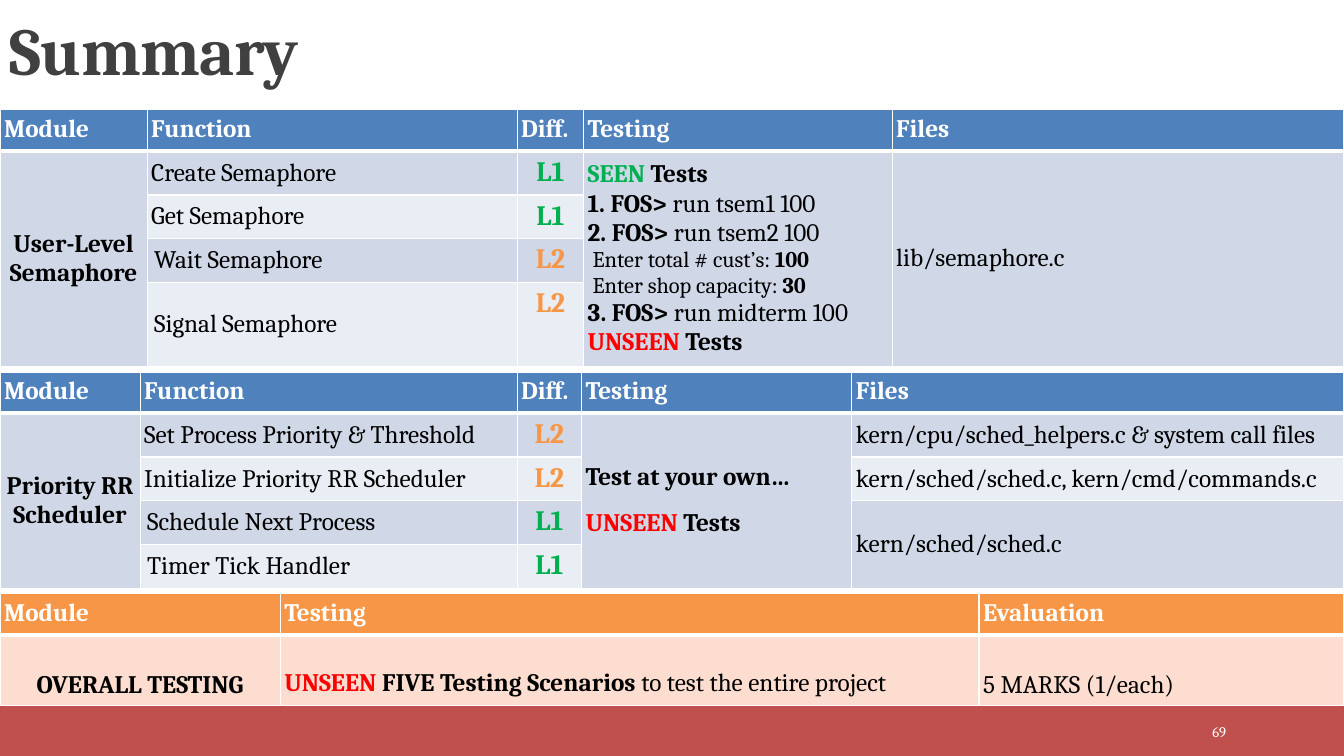
from lxml import etree
from pptx import Presentation
from pptx.dml.color import RGBColor
from pptx.enum.shapes import MSO_SHAPE
from pptx.enum.text import MSO_ANCHOR, PP_ALIGN
from pptx.oxml.ns import qn
from pptx.util import Inches, Pt

RECT = MSO_SHAPE.RECTANGLE
TOP, MID, LOW = MSO_ANCHOR.TOP, MSO_ANCHOR.MIDDLE, MSO_ANCHOR.BOTTOM
CENTER, RIGHT = PP_ALIGN.CENTER, PP_ALIGN.RIGHT

WHITE = RGBColor(0xFF, 0xFF, 0xFF)
BLACK = RGBColor(0, 0, 0)
GRAY = RGBColor(0x40, 0x40, 0x40)
BLUE = RGBColor(0x4F, 0x81, 0xBD)
BAND = RGBColor(0xD0, 0xD8, 0xE8)
PALE = RGBColor(0xE9, 0xED, 0xF4)
ORANGE = RGBColor(0xF7, 0x96, 0x46)
PEACH = RGBColor(0xFC, 0xDD, 0xCF)
BRICK = RGBColor(0xC0, 0x50, 0x4D)
GREEN = RGBColor(0x00, 0xB0, 0x50)
RED = RGBColor(0xFF, 0, 0)

BOLD = {"bold": True}
SMALL = {"size": Pt(16)}
FLAT = (0.07, 0)
PAD = (0.04, 0.05)


def cell(*lines, anchor=MID, pad=PAD, para=None, **font):
    """Describe a cell: each line is a string or a list of (text, format) runs."""
    return {"lines": lines, "anchor": anchor, "pad": pad, "para": para or {}, "font": font}


def level(name):
    """Describe a difficulty mark."""
    hue = GREEN if name == "L1" else ORANGE
    return cell(name, anchor=TOP, para={"alignment": CENTER}, bold=True, size=Pt(20), color=hue)


def tests(kind, hue):
    return [(kind + " ", {"bold": True, "color": hue}), ("Tests", BOLD)]


class Deck:
    def __init__(self, font="Cambria"):
        self.font = font
        self.file = Presentation()
        self.file.slide_width, self.file.slide_height = Inches(13.33), Inches(7.5)
        self.slide = self.file.slides.add_slide(self.file.slide_layouts[6])

    def bar(self, top, high, hue):
        shape = self.slide.shapes.add_shape(RECT, 0, Inches(top), Inches(13.33), Inches(high))
        shape.shadow.inherit = False
        shape.fill.solid()
        shape.fill.fore_color.rgb = hue
        shape.line.fill.background()

    def put(self, frame, lines, para, font):
        """Set the lines of a text frame."""
        frame.word_wrap = True
        for i, line in enumerate(lines):
            item = frame.paragraphs[0] if i == 0 else frame.add_paragraph()
            for key, value in para.items():
                setattr(item, key, value)
            for text, extra in [(line, {})] if isinstance(line, str) else line:
                run = item.add_run()
                run.text = text
                look = {"name": self.font, "size": Pt(18), "bold": False, "color": BLACK, **font, **extra}
                run.font.color.rgb = look.pop("color")
                for key, value in look.items():
                    setattr(run.font, key, value)

    def text(self, box, words, anchor, para, **font):
        frame = self.slide.shapes.add_textbox(*map(Inches, box)).text_frame
        self.put(frame, [words], para, font)
        frame.vertical_anchor = anchor
        return frame

    def edge(self, spot, row):
        """Draw white cell borders, thick under the header row."""
        props = spot._tc.get_or_add_tcPr()
        for i, side in enumerate(("lnL", "lnR", "lnT", "lnB")):
            thick = (row, side) in ((0, "lnB"), (1, "lnT"))
            line = etree.Element(qn("a:" + side), w=str(Pt(3 if thick else 1)))
            fill = etree.SubElement(line, qn("a:solidFill"))
            etree.SubElement(fill, qn("a:srgbClr"), val=str(WHITE))
            props.insert(i, line)

    def table(self, top, wide, high, head, bands, rows):
        """Draw a table; None in a row joins that cell to the one above."""
        heads = [cell(name, anchor=TOP, bold=True, color=WHITE) for name in head]
        rows = [heads] + rows
        grid = self.slide.shapes.add_table(
            len(rows), len(wide), 0, Inches(top), Inches(sum(wide)), Inches(sum(high))).table
        for col, size in zip(grid.columns, wide):
            col.width = Inches(size)
        for r, row in enumerate(rows):
            grid.rows[r].height = Inches(high[r])
            for c, data in enumerate(row):
                spot = grid.cell(r, c)
                spot.fill.solid()
                spot.fill.fore_color.rgb = bands[0] if r == 0 else bands[1 + (r - 1) % 2]
                self.edge(spot, r)
                if data is None:
                    continue
                x, y = data["pad"]
                spot.margin_left = spot.margin_right = Inches(x)
                spot.margin_top = spot.margin_bottom = Inches(y)
                spot.vertical_anchor = data["anchor"]
                self.put(spot.text_frame, data["lines"], data["para"], data["font"])
                end = r
                while end + 1 < len(rows) and rows[end + 1][c] is None:
                    end += 1
                if end > r:
                    spot.merge(grid.cell(end, c))


def main():
    deck = Deck()
    deck.bar(7, 0.5, BRICK)
    deck.bar(6.93, 0.07, BLUE)
    title = deck.text((0, 0.01, 11, 0.92), "Summary", LOW, {"line_spacing": 0.85},
                      size=Pt(48), bold=True, color=GRAY)
    title.paragraphs[0].runs[0].font._element.set("spc", "-50")
    deck.text((10.83, 7.06, 1.43, 0.4), "69", MID, {"alignment": RIGHT}, size=Pt(10.5), color=WHITE)

    mid = {"alignment": CENTER}
    head = ("Module", "Function", "Diff.", "Testing", "Files")
    blues = (BLUE, BAND, PALE)
    runs = cell(
        tests("SEEN", GREEN),
        [("1. FOS>", BOLD), (" run tsem1 100", {})],
        [("2. FOS> ", BOLD), ("run tsem2 100", {})],
        [(" Enter total # cust’s: ", SMALL), ("100", {**SMALL, **BOLD})],
        [(" Enter shop capacity: ", SMALL), ("30", {**SMALL, **BOLD})],
        [("3. FOS>", BOLD), (" run midterm 100", {})],
        tests("UNSEEN", RED))
    deck.table(1.09, (1.46, 3.67, 0.66, 3.06, 4.48), (0.41, 0.42, 0.42, 0.42, 0.82), head, blues, [
        [cell("User-Level Semaphore", para=mid, bold=True), cell("Create Semaphore"), level("L1"),
         runs, cell("lib/semaphore.c")],
        [None, cell("Get Semaphore"), level("L1"), None, None],
        [None, cell("Wait Semaphore", pad=FLAT), level("L2"), None, None],
        [None, cell("Signal Semaphore", pad=FLAT), level("L2"), None, None]])

    own = cell([("Test at your own…", BOLD)], tests("UNSEEN", RED), para={"space_before": Pt(12)})
    deck.table(3.69, (1.39, 3.74, 0.64, 2.68, 4.88), (0.41,) + (0.42,) * 4, head, blues, [
        [cell("Priority RR Scheduler", para=mid, bold=True), cell("Set Process Priority & Threshold"),
         level("L2"), own, cell("kern/cpu/sched_helpers.c & system call files")],
        [None, cell("Initialize Priority RR Scheduler"), level("L2"), None,
         cell("kern/sched/sched.c, kern/cmd/commands.c")],
        [None, cell("Schedule Next Process", pad=FLAT), level("L1"), None, cell("kern/sched/sched.c")],
        [None, cell("Timer Tick Handler", pad=FLAT), level("L1"), None, None]])

    tall = {"line_spacing": 2.0}
    deck.table(5.89, (2.78, 6.93, 3.62), (0.41, 0.68), ("Module", "Testing", "Evaluation"),
               (ORANGE, PEACH, PEACH), [
        [cell("OVERALL TESTING", para={**tall, **mid}, bold=True),
         cell([("UNSEEN ", {"bold": True, "color": RED}), ("FIVE Testing Scenarios ", BOLD),
               ("to test the entire project", {})], anchor=TOP, para=tall),
         cell("5 MARKS (1/each)", para=tall)]])
    deck.file.save("out.pptx")


if __name__ == "__main__":
    main()
